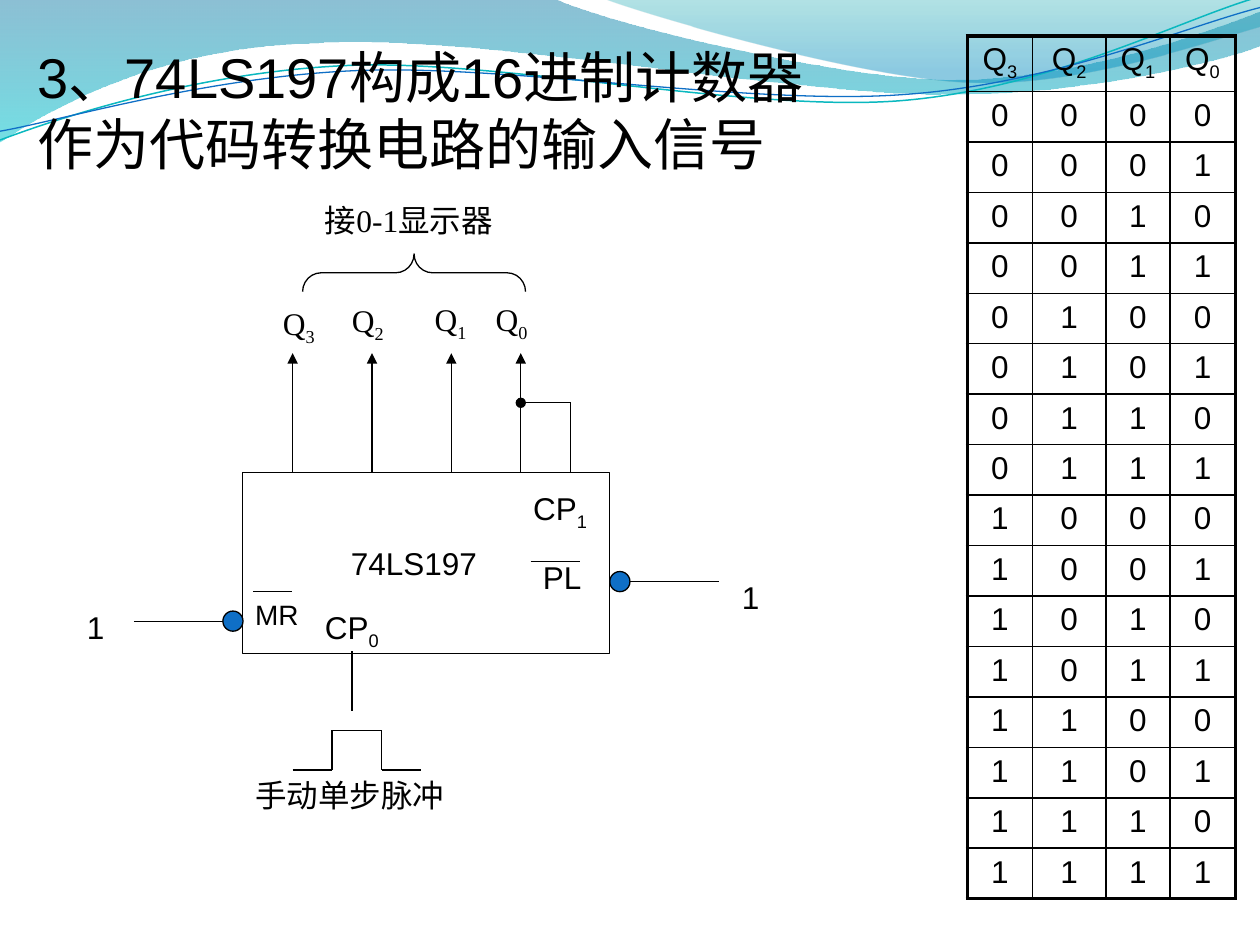
"""Draw a slide of a 74LS197 counter circuit and its count table."""
from dataclasses import dataclass
from itertools import pairwise

from lxml import etree
from pptx import Presentation
from pptx.dml.color import RGBColor
from pptx.enum.shapes import MSO_CONNECTOR, MSO_SHAPE
from pptx.enum.text import MSO_ANCHOR, MSO_AUTO_SIZE, PP_ALIGN
from pptx.oxml.ns import qn
from pptx.util import Pt

RECT, OVAL, BRACE = MSO_SHAPE.RECTANGLE, MSO_SHAPE.OVAL, MSO_SHAPE.LEFT_BRACE
LINE = MSO_CONNECTOR.STRAIGHT
LEFT, MID, EVEN = PP_ALIGN.LEFT, PP_ALIGN.CENTER, PP_ALIGN.JUSTIFY
TOP, GROW = MSO_ANCHOR.TOP, MSO_AUTO_SIZE.SHAPE_TO_FIT_TEXT


@dataclass(frozen=True)
class Theme:
    """Colours, fonts and sizes."""
    ink: str = "000000"
    paper: str = "FFFFFF"
    dot: str = "0F6FC6"
    teal: str = "0AB8BF"
    deep: tuple = ((0, "0074A1", 45), (1, "00C6CF", 55))
    light: tuple = ((0, "00A1A9", 30), (0.8, "008BBF", 45))
    sans: str = "Arial"
    serif: str = "Times New Roman"
    title: float = 32
    body: float = 18
    small: float = 16
    thin: float = 0.75
    grid: float = 1
    frame: float = 2.25


T = Theme()

BAND = [(0, 0), (316.8, -0.7), (342.7, 12.2, 478.1, 45.4, 545.8, 45.4),
        (614.2, 45.4, 689.8, 18.7, 720, 6.5), (720.7, 25.9),
        (707.8, 31.7, 626.4, 54.7, 537.1, 54), (447.8, 54, 275, 20.2, 185, 24.5),
        (92.9, 25.9, 33.1, 59.8, -0.7, 81.4)]
SWEEP = [(344.9, -0.7), (366.5, 7.9, 491, 44.6, 553.7, 46.8),
         (616.3, 49.7, 691.9, 23, 720, 15.1), (720, 0)]
UPPER = [(-1.4, 63.1), (33.8, 51.7, 114.1, 29.4, 199.8, 29.9),
         (284.8, 30.3, 425.9, 67.3, 512.5, 64.9), (599.1, 62.4, 676.5, 25.7, 720.2, 15.5)]
LOWER = [(-1.1, 58), (32.9, 53.8, 118.3, 32.5, 204.1, 33),
         (290.6, 33.4, 428.9, 63.8, 515.5, 61.4), (601.4, 59.6, 678.4, 30.1, 721.4, 21.3)]


def bend(shape, path):
    """Join each three points of a curved part into one curve."""
    nodes = iter(list(shape._element.iter(qn("a:lnTo"))))
    for part in path[1:]:
        group = [next(nodes) for _ in range(len(part) // 2)]
        if len(group) == 3:
            curve = etree.Element(qn("a:cubicBezTo"))
            group[0].addprevious(curve)
            for node in group:
                curve.append(node[0])
                node.getparent().remove(node)


def paint(shape, fill=None, line=None, width=T.thin):
    """Set the fill and line of a shape."""
    shape.shadow.inherit = False
    if fill:
        shape.fill.solid()
        shape.fill.fore_color.rgb = RGBColor.from_string(fill)
    else:
        shape.fill.background()
    if line:
        shape.line.color.rgb = RGBColor.from_string(line)
        shape.line.width = Pt(width)
    else:
        shape.line.fill.background()


def wave(slide, path, stops=None, line=None, width=T.thin, turn=0):
    """Draw a curved outline, with a faded fill if stops are given."""
    points = [(Pt(x), Pt(y)) for part in path for x, y in zip(part[::2], part[1::2])]
    pen = slide.shapes.build_freeform(*points[0], scale=1)
    pen.add_line_segments(points[1:], close=bool(stops))
    shape = pen.convert_to_shape()
    bend(shape, path)
    shape.rotation = turn
    paint(shape, None, line, width)
    if stops:
        shape.fill.gradient()
        shape.fill.gradient_angle = 270
        for stop, (place, tint, _) in zip(shape.fill.gradient_stops, stops):
            stop.position = place
            stop.color.rgb = RGBColor.from_string(tint)
        tints = shape._element.spPr.iter(qn("a:srgbClr"))
        for node, (_, _, alpha) in zip(list(tints), stops):
            etree.SubElement(node, qn("a:alpha"), val=str(alpha * 1000))


def write(frame, text, sub="", font=T.sans, size=T.body, align=LEFT):
    """Write text and its subscript in a frame."""
    frame.word_wrap = True
    para = frame.paragraphs[0]
    para.alignment = align
    for part, base in ((text, None), (sub, "-25000")):
        if part:
            run = para.add_run()
            run.text = part
            run.font.name = font
            run.font.size = Pt(size)
            run.font.color.rgb = RGBColor.from_string(T.ink)
            if base:
                run.font._element.set("baseline", base)


def label(slide, x, y, w, h, text, **form):
    """Add a plain text box."""
    box = slide.shapes.add_textbox(Pt(x), Pt(y), Pt(w), Pt(h))
    box.text_frame.auto_size = GROW
    write(box.text_frame, text, **form)


def block(slide, kind, x, y, w, h, fill=T.paper, line=T.ink):
    """Add a preset shape."""
    shape = slide.shapes.add_shape(kind, Pt(x), Pt(y), Pt(w), Pt(h))
    paint(shape, fill, line)
    return shape


def plate(slide, x, y, w, h, text, inset=True, **form):
    """Add text on a white plate."""
    frame = block(slide, RECT, x, y, w, h, line=T.paper).text_frame
    frame.vertical_anchor = TOP
    if not inset:
        frame.margin_left = frame.margin_right = 0
        frame.margin_top = frame.margin_bottom = 0
    write(frame, text, align=EVEN, **form)


def wire(slide, *points, head=None, tail=None):
    """Join points with straight lines."""
    for start, end in pairwise(points):
        line = slide.shapes.add_connector(LINE, *map(Pt, start + end))
        line.line.color.rgb = RGBColor.from_string(T.ink)
        line.line.width = Pt(T.thin)
        for tag, mark in (("a:headEnd", head), ("a:tailEnd", tail)):
            if mark:
                etree.SubElement(line.line._ln, qn(tag), type=mark)
        etree.SubElement(line._element.spPr, qn("a:effectLst"))


def edge(cell, outer):
    """Rule a cell, with heavy lines on its outer sides."""
    props = cell._tc.get_or_add_tcPr()
    for side in "LRTB":
        width = T.frame if side in outer else T.grid
        rule = etree.SubElement(props, qn(f"a:ln{side}"), w=str(Pt(width)))
        fill = etree.SubElement(rule, qn("a:solidFill"))
        etree.SubElement(fill, qn("a:srgbClr"), val=T.ink)


def count(slide):
    """Add the table of sixteen states."""
    widths = (37.2, 41.9, 36.6, 37.4)
    rows = [[("Q", n) for n in "3210"]]
    rows += [[(bit, "") for bit in f"{n:04b}"] for n in range(16)]
    table = slide.shapes.add_table(
        17, 4, Pt(552.8), Pt(20.5), Pt(sum(widths)), Pt(492.2)).table
    table.first_row = table.horz_banding = False
    for col, width in zip(table.columns, widths):
        col.width = Pt(width)
    for r, row in enumerate(rows):
        table.rows[r].height = Pt(28.8 if r else 31.4)
        for c, (text, sub) in enumerate(row):
            cell = table.cell(r, c)
            edge(cell, {0: "L", 3: "R"}.get(c, "") + {0: "T", 16: "B"}.get(r, ""))
            cell.fill.background()
            cell.vertical_anchor = TOP
            write(cell.text_frame, text, sub=sub, align=MID)


def chip(slide):
    """Draw the counter with its pins and wires."""
    block(slide, RECT, 138.7, 270, 209.5, 103.5)
    plate(slide, 193.4, 307.4, 90.7, 36.7, "74LS197")
    plate(slide, 178.6, 111.2, 118.8, 28.1, "接0-1显示器", font=T.serif)
    brace = block(slide, BRACE, 225.8, 92.2, 21.6, 127.4, fill=None)
    brace.rotation = 90
    brace.adjustments[0] = 0.49
    pins = (("3", 161.6, 173.5, 28.1, 167.2), ("2", 201.1, 172.1, 25.9, 212.6),
            ("1", 248.4, 171.2, 26.6, 257.9), ("0", 283.2, 171.7, 31.7, 297.6))
    for name, x, y, width, stem in pins:
        plate(slide, x, y, width, 24, "Q", sub=name, inset=False, font=T.serif)
        wire(slide, (stem, 270), (stem, 201.8), tail="triangle")
    wire(slide, (326.2, 270), (326.2, 230.2))
    wire(slide, (297.6, 230.2), (326.2, 230.2), head="oval")
    wire(slide, (201.1, 372.2), (201.1, 406.1))
    wire(slide, (167.2, 440), (189.8, 440), (189.8, 417.3), (218.2, 417.3),
         (218.2, 440), (240.7, 440))
    wire(slide, (76.5, 355), (127.4, 355))
    wire(slide, (144.7, 337.9), (167, 337.9))
    wire(slide, (360, 332.4), (411.1, 332.4))
    wire(slide, (303.3, 320.9), (331.7, 320.9))
    for x, y in ((127.4, 349.2), (348.5, 326.6)):
        block(slide, OVAL, x, y, 11.5, 11.5, fill=T.dot)
    label(slide, 178.6, 343.8, 62.6, 28.8, "CP", sub="0")
    label(slide, 297.6, 275.8, 51.1, 28.8, "CP", sub="1")
    label(slide, 138.7, 337.7, 43.2, 26.6, "MR", size=T.small)
    label(slide, 303.1, 315.4, 45.4, 28.8, "PL")
    label(slide, 138.7, 440, 124.6, 28.8, "手动单步脉冲")
    for x, y in ((42.5, 343.8), (416.9, 326.9)):
        label(slide, x, y, 28.1, 28.8, "1")


def main():
    """Build and save the slide."""
    deck = Presentation()
    deck.slide_width, deck.slide_height = Pt(720), Pt(540)
    slide = deck.slides.add_slide(deck.slide_layouts[6])
    wave(slide, BAND, stops=T.deep)
    wave(slide, SWEEP, stops=T.light)
    wave(slide, UPPER, line=T.teal, width=0.85, turn=357.3)
    wave(slide, LOWER, line=T.dot, turn=357.3)
    label(slide, 14.4, 20.5, 465.1, 85, "3、74LS197构成16进制计数器作为代码转换电路的输入信号",
          size=T.title)
    chip(slide)
    count(slide)
    deck.save("out.pptx")


if __name__ == "__main__":
    main()
